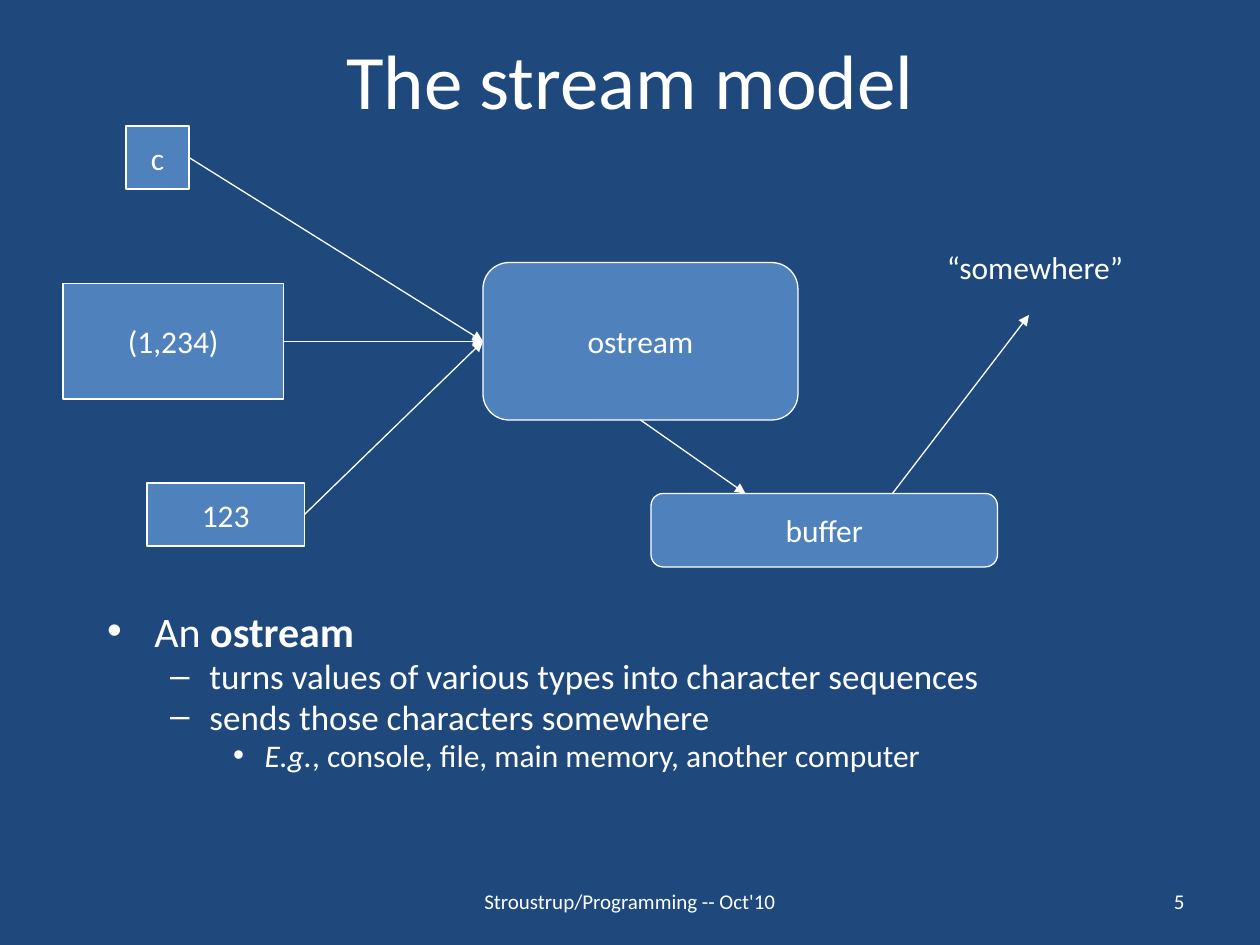
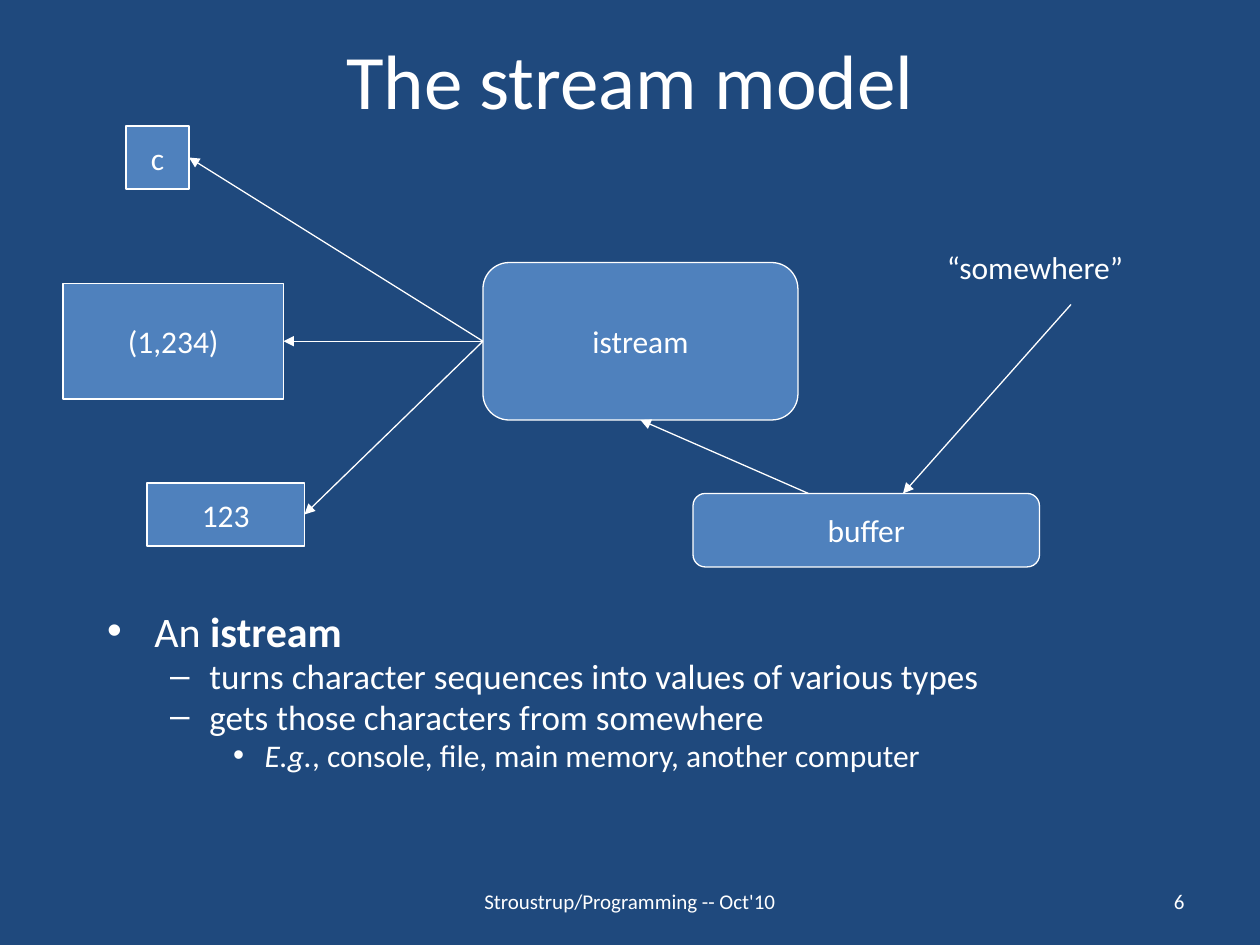
from dataclasses import dataclass

from lxml import etree
from pptx import Presentation
from pptx.dml.color import RGBColor
from pptx.enum import shapes, text
from pptx.oxml import ns
from pptx.util import Pt


@dataclass(frozen=True)
class Theme:
    """Colours, font and type sizes shared by the slides."""
    background: RGBColor = RGBColor(0x1F, 0x49, 0x7D)
    fill: RGBColor = RGBColor(0x4F, 0x81, 0xBD)
    ink: RGBColor = RGBColor(0xFF, 0xFF, 0xFF)
    font: str = "Calibri"
    title: int = 44
    levels: tuple = (24, 20, 18)
    label: int = 18
    footer: int = 12
    line: float = 0.75


@dataclass(frozen=True)
class StreamSlide:
    """What differs between the two stream slides, in points."""
    number: int
    stream: str
    actions: tuple
    is_output: bool
    buffer_left: float
    stream_joint: float  # x on the buffer's top edge
    outside_joint: float  # x on the buffer's top edge
    outside_point: tuple


THEME = Theme()
TITLE = "The stream model"
FOOTER = "Stroustrup/Programming -- Oct'10"
BUFFER_TOP = 282
VALUES = (
    ("c", (72, 72, 36, 36)),
    ("(1,234)", (36, 162, 126, 66)),
    ("123", (84, 276, 90, 36)),
)
TOP, LEFT, BOTTOM, RIGHT = range(4)  # connection sites of a box
SLIDES = (
    StreamSlide(5, "ostream",
                ("turns values of various types into character sequences",
                 "sends those characters somewhere"),
                True, 372, 426, 510, (588, 180)),
    StreamSlide(6, "istream",
                ("turns character sequences into values of various types",
                 "gets those characters from somewhere"),
                False, 396, 462, 516, (612, 174)),
)


def place(shape, area):
    """Move a shape to (left, top, width, height)."""
    shape.left, shape.top, shape.width, shape.height = map(Pt, area)


def format_span(span, size, bold=None, italic=None):
    """Give a run the theme's font and colour."""
    span.font.name = THEME.font
    span.font.size = Pt(size)
    span.font.color.rgb = THEME.ink
    span.font.bold = bold
    span.font.italic = italic


def write(shape, words, size, align):
    """Set one line of text in a shape."""
    shape.text_frame.text = words
    para = shape.text_frame.paragraphs[0]
    para.alignment = align
    format_span(para.runs[0], size)


def add_title(slide):
    """Fill the title placeholder."""
    place(slide.shapes.title, (54, 0, 612, 90))
    slide.shapes.title.text_frame.vertical_anchor = text.MSO_ANCHOR.MIDDLE
    write(slide.shapes.title, TITLE, THEME.title, text.PP_ALIGN.CENTER)


def add_list(slide, items):
    """Fill the body placeholder with (level, ((words, style), ...)) items."""
    body = slide.placeholders[1]
    place(body, (54, 348, 612, 108))
    frame = body.text_frame
    frame.auto_size = text.MSO_AUTO_SIZE.NONE
    for index, (level, spans) in enumerate(items):
        para = frame.add_paragraph() if index else frame.paragraphs[0]
        para.level = level
        para.line_spacing = 0.8
        for words, style in spans:
            span = para.add_run()
            span.text = words
            format_span(span, THEME.levels[level], **style)


def add_label(slide, words, area, size, align, anchor):
    """Add a text box."""
    box = slide.shapes.add_textbox(*map(Pt, area))
    box.text_frame.word_wrap = True
    box.text_frame.vertical_anchor = anchor
    write(box, words, size, align)


def add_box(slide, words, area, rounded=False):
    """Add a filled box with a centred label."""
    kinds = shapes.MSO_SHAPE
    kind = kinds.ROUNDED_RECTANGLE if rounded else kinds.RECTANGLE
    box = slide.shapes.add_shape(kind, *map(Pt, area))
    box.shadow.inherit = False
    box.fill.solid()
    box.fill.fore_color.rgb = THEME.fill
    box.line.color.rgb = THEME.ink
    box.line.width = Pt(THEME.line)
    box.text_frame.word_wrap = False
    box.text_frame.vertical_anchor = text.MSO_ANCHOR.MIDDLE
    write(box, words, THEME.label, text.PP_ALIGN.CENTER)
    return box


def add_arrow(slide, ends, forward):
    """Join two ends, each a point or a (box, site) pair."""
    start, stop = ends if forward else reversed(ends)
    arrow = slide.shapes.add_connector(shapes.MSO_CONNECTOR.STRAIGHT, 0, 0, 0, 0)
    if isinstance(start[0], (int, float)):
        arrow.begin_x, arrow.begin_y = map(Pt, start)
    else:
        arrow.begin_connect(*start)
    if isinstance(stop[0], (int, float)):
        arrow.end_x, arrow.end_y = map(Pt, stop)
    else:
        arrow.end_connect(*stop)
    arrow.line.color.rgb = THEME.ink
    arrow.line.width = Pt(THEME.line)
    outline = arrow.line._get_or_add_ln()
    etree.SubElement(outline, ns.qn("a:tailEnd"), type="triangle")
    etree.SubElement(arrow._element.spPr, ns.qn("a:effectLst"))


def add_diagram(slide, content):
    """Draw values, stream, buffer and the outside, with their arrows."""
    values = [add_box(slide, words, area) for words, area in VALUES]
    stream = add_box(slide, content.stream, (276, 150, 180, 90), rounded=True)
    add_box(slide, "buffer", (content.buffer_left, BUFFER_TOP, 198, 42),
            rounded=True)
    add_label(slide, "“somewhere”", (534, 138, 156, 36), THEME.label,
              text.PP_ALIGN.LEFT, text.MSO_ANCHOR.TOP)
    links = [((value, RIGHT), (stream, LEFT)) for value in values]
    links.append(((stream, BOTTOM), (content.stream_joint, BUFFER_TOP)))
    links.append(((content.outside_joint, BUFFER_TOP), content.outside_point))
    for ends in links:
        add_arrow(slide, ends, content.is_output)


def add_footer(slide, number):
    """Add the footer text and the slide number."""
    middle = text.MSO_ANCHOR.MIDDLE
    add_label(slide, FOOTER, (246, 500.5, 228, 28.75), THEME.footer,
              text.PP_ALIGN.CENTER, middle)
    add_label(slide, str(number), (516, 500.5, 168, 28.75), THEME.footer,
              text.PP_ALIGN.RIGHT, middle)


def add_stream_slide(deck, content):
    """Build one slide of the stream model."""
    slide = deck.slides.add_slide(deck.slide_layouts[1])
    add_title(slide)
    add_list(slide, [
        (0, (("An ", {}), (content.stream, {"bold": True}))),
        *((1, ((action, {}),)) for action in content.actions),
        (2, (("E.g.", {"italic": True}),
             (", console, file, main memory, another computer", {}))),
    ])
    add_diagram(slide, content)
    add_footer(slide, content.number)


def main():
    """Build and save the deck."""
    deck = Presentation()
    deck.slide_width, deck.slide_height = Pt(720), Pt(540)
    backdrop = deck.slide_master.background.fill
    backdrop.solid()
    backdrop.fore_color.rgb = THEME.background
    for content in SLIDES:
        add_stream_slide(deck, content)
    deck.save("out.pptx")


main()
